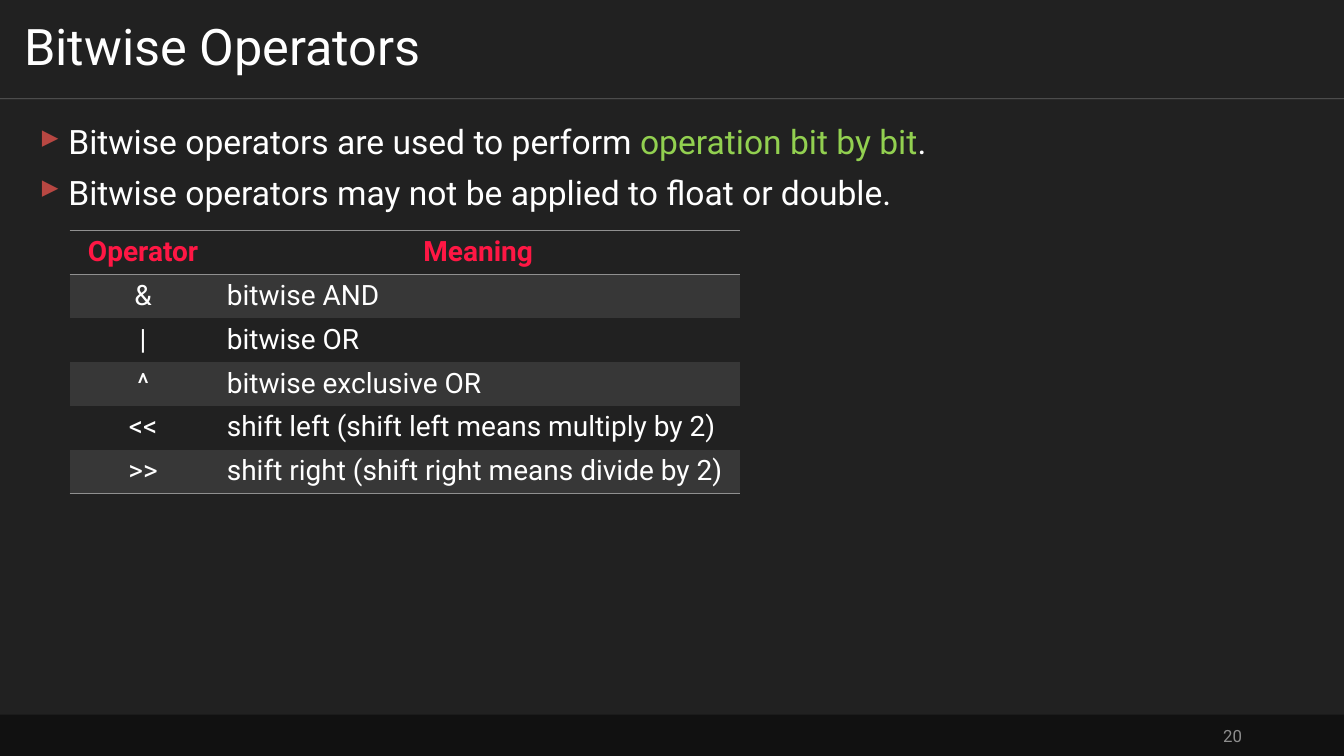
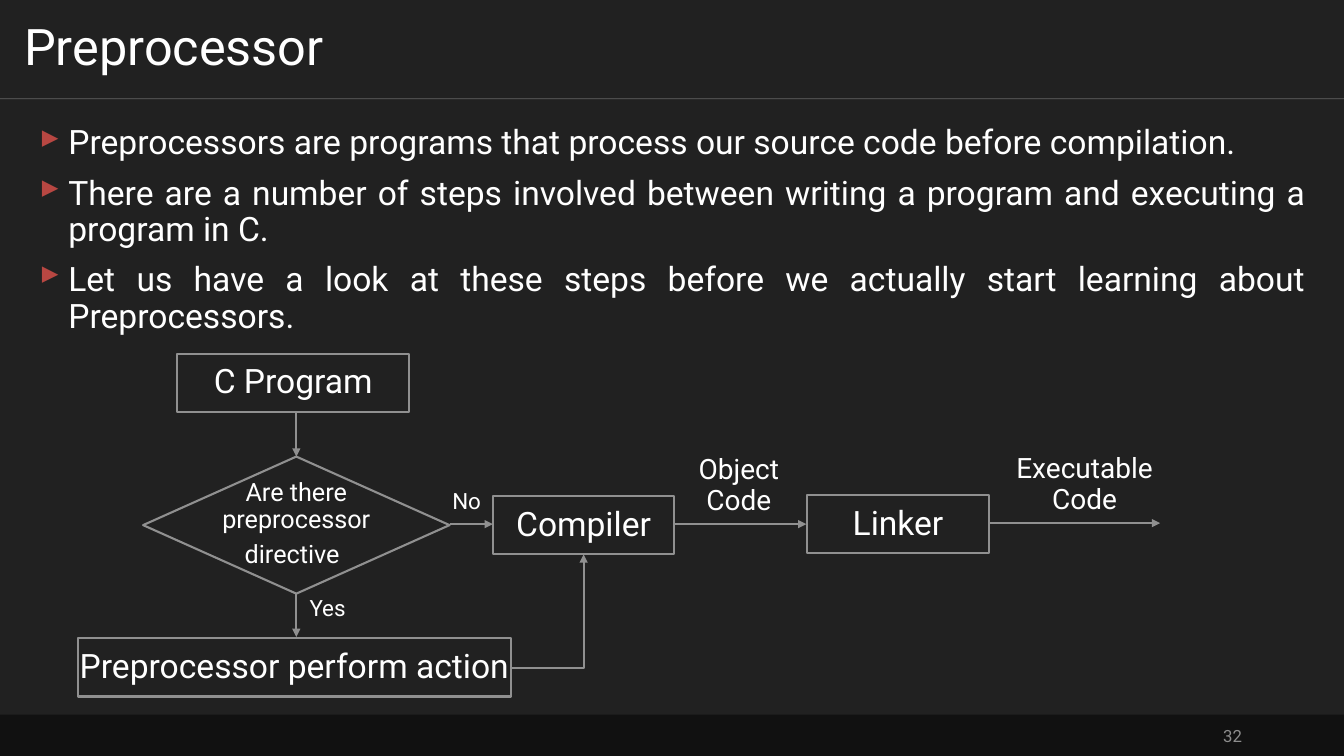
import pptx
import pptx.util
import pptx.dml.color
import pptx.enum.shapes
import pptx.enum.text
import pptx.oxml.ns
from lxml import etree

Inches, Pt = pptx.util.Inches, pptx.util.Pt
RGB = pptx.dml.color.RGBColor
SHAPE = pptx.enum.shapes.MSO_SHAPE
LINK = pptx.enum.shapes.MSO_CONNECTOR
ALIGN = pptx.enum.text.PP_ALIGN
ANCHOR = pptx.enum.text.MSO_ANCHOR
qn = pptx.oxml.ns.qn

BACK = RGB(0x21, 0x21, 0x21)
FOOTER = RGB(0x11, 0x11, 0x11)
BAND = RGB(0x37, 0x37, 0x37)
GRAY = RGB(0x90, 0x90, 0x90)
NUMBER = RGB(0x8D, 0x8D, 0x8D)
WHITE = RGB(0xFF, 0xFF, 0xFF)
RED = RGB(0xFF, 0x17, 0x44)
GREEN = RGB(0x92, 0xD0, 0x50)
BULLET = RGB(0xB8, 0x47, 0x42)

FONT = "Roboto"
BULLET_FONT, BULLET_CHAR = "Wingdings 3", "}"  # a right-pointing triangle
WIDTH, HEIGHT = 40 / 3, 7.5
TITLE_H, FOOTER_TOP = 0.98, 7.09
INDENT = 0.29
NO_STYLE = "{2D5ABB26-0587-4C30-8999-92F81FD0307C}"

# A bullet is a list of (text, colour) runs
OPERATOR_BULLETS = [
    [("Bitwise operators are used to perform ", WHITE),
     ("operation bit by bit", GREEN), (".", WHITE)],
    [("Bitwise operators may not be applied to float or double.", WHITE)],
]
OPERATORS = [
    ("Operator", "Meaning"),
    ("&", "bitwise AND"),
    ("|", "bitwise OR"),
    ("^", "bitwise exclusive OR"),
    ("<<", "shift left (shift left means multiply by 2)"),
    (">>", "shift right (shift right means divide by 2)"),
]
TABLE_AT, COLUMNS, ROW_H = (0.69, 2.29), (1.46, 5.19), 0.41

PREPROCESSOR_BULLETS = [[(text, WHITE)] for text in (
    "Preprocessors are programs that process our source code before compilation.",
    "There are a number of steps involved between writing a program and "
    "executing a program in C.",
    "Let us have a look at these steps before we actually start learning "
    "about Preprocessors.",
)]
BOX_H = 0.58
# text, left, top, width
BOXES = [
    ("C Program", 1.76, 3.51, 2.3),
    ("Preprocessor perform action", 0.77, 6.33, 4.3),
    ("Compiler", 4.89, 4.92, 1.8),
    ("Linker", 8.01, 4.91, 1.8),
]
DECISION = ("Are there preprocessor directive", (1.42, 4.53, 3.04, 1.36))
# text, size, place
LABELS = [
    ("Yes", 16, (3, 5.89, 0.5, 0.3)),
    ("No", 16, (4.38, 4.83, 0.5, 0.3)),
    ("Object Code", 20, (6.88, 4.47, 0.9, 0.7)),
    ("Executable Code", 20, (10.06, 4.46, 1.4, 0.7)),
]
# x and y of start, x and y of end
ARROWS = [
    (2.94, 4.09, 2.94, 4.53),
    (2.94, 5.89, 2.94, 6.32),
    (4.46, 5.2, 4.89, 5.2),
    (6.7, 5.2, 8, 5.2),
    (9.81, 5.19, 11.51, 5.19),
]
ELBOW_ARROW = (5.07, 6.63, 5.79, 5.5)


def lengths(values):
    return [Inches(v) for v in values]


def add_run(p, text, size, color=WHITE, bold=False):
    r = p.add_run()
    r.text = text
    for name, value in {"name": FONT, "size": Pt(size), "bold": bold}.items():
        setattr(r.font, name, value)
    r.font.color.rgb = color


def set_frame(tf, anchor=ANCHOR.MIDDLE, inset=(0.1, 0.05)):
    dx, dy = lengths(inset)
    formats = {"word_wrap": True, "vertical_anchor": anchor, "margin_left": dx,
               "margin_right": dx, "margin_top": dy, "margin_bottom": dy}
    for name, value in formats.items():
        setattr(tf, name, value)
    return tf.paragraphs[0]


def add_text(s, place, text, size, color=WHITE, align=ALIGN.LEFT,
             spacing=0.9, inset=(0.1, 0.05)):
    sp = s.shapes.add_textbox(*lengths(place))
    p = set_frame(sp.text_frame, inset=inset)
    p.alignment, p.line_spacing = align, spacing
    add_run(p, text, size, color)


def add_shape(s, kind, place, fill, line=None):
    sp = s.shapes.add_shape(kind, *lengths(place))
    sp.shadow.inherit = False
    sp.fill.solid()
    sp.fill.fore_color.rgb = fill
    if line is None:
        sp.line.fill.background()
    else:
        sp.line.color.rgb, sp.line.width = line, Pt(1.5)
    return sp


def add_node(s, kind, place, text, size, line=GRAY):
    sp = add_shape(s, kind, place, BACK, line)
    p = set_frame(sp.text_frame, inset=(0.02, 0.02))
    p.alignment, p.line_spacing = ALIGN.CENTER, 0.9
    add_run(p, text, size)
    return p


def add_line(s, ends, color, width, kind=LINK.STRAIGHT, arrow=False, opacity=100):
    c = s.shapes.add_connector(kind, *lengths(ends))
    c.line.color.rgb, c.line.width = color, Pt(width)
    spPr = c.element.spPr
    if opacity < 100:
        clr = next(spPr.iter(qn("a:srgbClr")))
        etree.SubElement(clr, qn("a:alpha"), val=str(opacity * 1000))
    if arrow:
        etree.SubElement(spPr.find(qn("a:ln")), qn("a:tailEnd"), type="triangle")
    if kind == LINK.ELBOW:  # a single corner: across, then up
        spPr.find(qn("a:prstGeom")).set("prst", "bentConnector2")
    etree.SubElement(spPr, qn("a:effectLst"))


def add_bullets(s, bullets):
    sp = s.shapes.add_textbox(*lengths((0.29, 1.2, 12.76, 5.71)))
    tf = sp.text_frame
    set_frame(tf, ANCHOR.TOP)
    for i, runs in enumerate(bullets):
        p = tf.add_paragraph() if i else tf.paragraphs[0]
        p.alignment, p.line_spacing = ALIGN.JUSTIFY, 0.9
        p.space_before = Pt(10 if i else 0)
        pPr = p._p.get_or_add_pPr()
        pPr.set("marL", str(Inches(INDENT)))
        pPr.set("indent", str(-Inches(INDENT)))
        color = etree.SubElement(pPr, qn("a:buClr"))
        etree.SubElement(color, qn("a:srgbClr"), val=str(BULLET))
        etree.SubElement(pPr, qn("a:buFont"), typeface=BULLET_FONT, charset="2")
        etree.SubElement(pPr, qn("a:buChar"), char=BULLET_CHAR)
        for text, run_color in runs:
            add_run(p, text, 24, run_color)


def add_slide(prs, title, number, bullets):
    """Make a slide with the shared background, title, rule and footer."""
    s = prs.slides.add_slide(prs.slide_layouts[6])
    add_shape(s, SHAPE.RECTANGLE, (0, 0, WIDTH, HEIGHT), BACK)
    add_line(s, (0, TITLE_H, WIDTH, TITLE_H), WHITE, 0.5, opacity=30)
    add_shape(s, SHAPE.RECTANGLE, (0, FOOTER_TOP, WIDTH, HEIGHT - FOOTER_TOP), FOOTER)
    add_text(s, (9.42, 7.1, 3, 0.4), str(number), 12, NUMBER, ALIGN.RIGHT, 1.0)
    add_text(s, (0, 0, WIDTH, TITLE_H), title, 36, inset=(0.24, 0.12))
    add_bullets(s, bullets)
    return s


def add_border(cell, tag):
    ln = etree.SubElement(cell._tc.get_or_add_tcPr(), qn(tag), w=str(Pt(1)))
    fill = etree.SubElement(ln, qn("a:solidFill"))
    etree.SubElement(fill, qn("a:srgbClr"), val=str(GRAY))


def add_operator_table(s):
    size = (sum(COLUMNS), ROW_H * len(OPERATORS))
    frame = s.shapes.add_table(len(OPERATORS), len(COLUMNS), *lengths(TABLE_AT + size))
    table = frame.table
    table._tbl.tblPr.find(qn("a:tableStyleId")).text = NO_STYLE
    table.first_row = table.horz_banding = False
    for column, width in zip(table.columns, COLUMNS):
        column.width = Inches(width)
    last = len(OPERATORS) - 1
    for i, texts in enumerate(OPERATORS):
        table.rows[i].height = Inches(ROW_H)
        header = i == 0
        for j, text in enumerate(texts):
            cell = table.cell(i, j)
            if header:
                add_border(cell, "a:lnT")
            if i in (0, last):
                add_border(cell, "a:lnB")
            if i % 2:
                cell.fill.solid()
                cell.fill.fore_color.rgb = BAND
            else:
                cell.fill.background()
            p = cell.text_frame.paragraphs[0]
            p.alignment = ALIGN.CENTER if header or j == 0 else ALIGN.LEFT
            add_run(p, text, 20, RED if header else WHITE, header)


def add_flowchart(s):
    for text, left, top, width in BOXES:
        add_node(s, SHAPE.RECTANGLE, (left, top, width, BOX_H), text, 24)
    text, place = DECISION
    p = add_node(s, SHAPE.FLOWCHART_DECISION, place, text, 18)
    add_run(p, " ", 24)
    for text, size, place in LABELS:
        add_node(s, SHAPE.RECTANGLE, place, text, size, line=None)
    for ends in ARROWS:
        add_line(s, ends, GRAY, 1.5, arrow=True)
    add_line(s, ELBOW_ARROW, GRAY, 1.5, LINK.ELBOW, arrow=True)


def main():
    prs = pptx.Presentation()
    prs.slide_width, prs.slide_height = lengths((WIDTH, HEIGHT))
    add_operator_table(add_slide(prs, "Bitwise Operators", 20, OPERATOR_BULLETS))
    add_flowchart(add_slide(prs, "Preprocessor", 32, PREPROCESSOR_BULLETS))
    prs.save("out.pptx")


if __name__ == "__main__":
    main()
